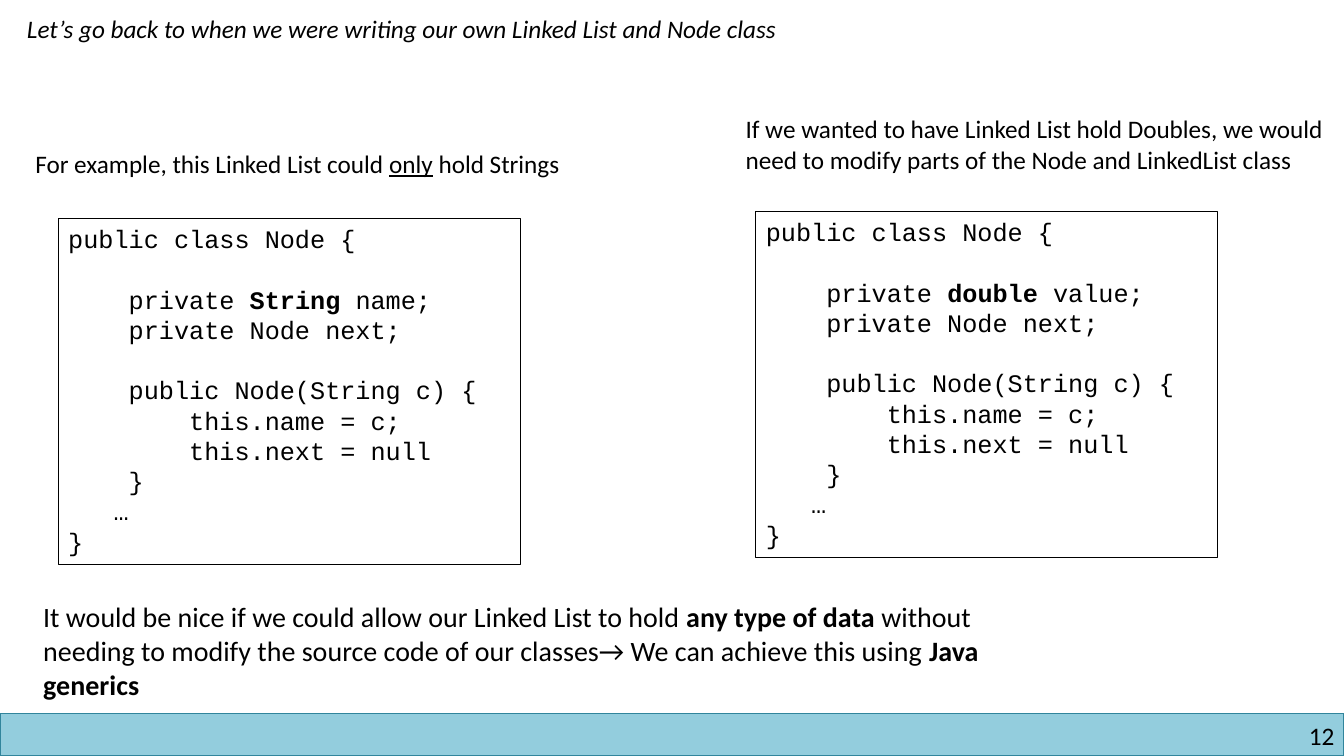
from pptx import Presentation
from pptx.dml.color import RGBColor
from pptx.enum.shapes import MSO_SHAPE
from pptx.enum.text import MSO_ANCHOR, PP_ALIGN
from pptx.util import Cm, Pt

RECTANGLE = MSO_SHAPE.RECTANGLE
TOP = MSO_ANCHOR.TOP
LEFT, RIGHT = PP_ALIGN.LEFT, PP_ALIGN.RIGHT
BLACK, BAND_FILL, BAND_EDGE = "000000", "93CDDD", "31859C"
PROSE_FONT, CODE_FONT = "Calibri", "Courier New"
CODE_LINE = Pt(21.6)


def color(hex_code):
    return RGBColor.from_string(hex_code)


def add_runs(paragraph, parts, size=18, font=PROSE_FONT):
    """Parts are plain strings or (text, style) pairs, style being a font flag."""
    paragraph.font.size = Pt(size)
    paragraph.font.name = font
    paragraph.font.color.rgb = color(BLACK)
    for part in parts:
        text, style = (part, None) if isinstance(part, str) else part
        run = paragraph.add_run()
        run.text = text
        if style:
            setattr(run.font, style, True)


def add_rectangle(slide, left, top, width, height, edge, weight, fill=None):
    rectangle = slide.shapes.add_shape(
        RECTANGLE, Cm(left), Cm(top), Cm(width), Cm(height))
    rectangle.shadow.inherit = False
    if fill:
        rectangle.fill.solid()
        rectangle.fill.fore_color.rgb = color(fill)
    else:
        rectangle.fill.background()
    rectangle.line.color.rgb = color(edge)
    rectangle.line.width = Pt(weight)
    return rectangle


def add_remark(slide, left, top, width, height, parts, size=18):
    frame = slide.shapes.add_textbox(
        Cm(left), Cm(top), Cm(width), Cm(height)).text_frame
    frame.word_wrap = True
    add_runs(frame.paragraphs[0], parts, size)
    return frame


def add_node_class(slide, left, top, data_type, field):
    """Code listing; each line comes with the number of empty lines above it."""
    listing = [
        (0, ["public class Node {"]),
        (1, ["    private ", (data_type, "bold"), f" {field};"]),
        (0, ["    private Node next;"]),
        (1, ["    public Node(String c) {"]),
        (0, ["        this.name = c;"]),
        (0, ["        this.next = null"]),
        (0, ["    }"]),
        (0, ["   …"]),
        (0, ["}"]),
    ]
    frame = add_rectangle(slide, left, top, 11.64, 8.71, BLACK, 0.75).text_frame
    frame.word_wrap = True
    frame.vertical_anchor = TOP
    for index, (gap, parts) in enumerate(listing):
        line = frame.add_paragraph() if index else frame.paragraphs[0]
        line.alignment = LEFT
        line.line_spacing = CODE_LINE
        if gap:
            line.space_before = gap * CODE_LINE
        add_runs(line, parts, font=CODE_FONT)


def main():
    deck = Presentation()
    deck.slide_width, deck.slide_height = Cm(33.87), Cm(19.05)
    slide = deck.slides.add_slide(deck.slide_layouts[6])

    # Footer band and page number
    add_rectangle(slide, 0, 17.98, 33.87, 1.07, BAND_EDGE, 1, BAND_FILL)
    page_number = add_remark(slide, 25.83, 18.16, 7.8, 0.76, ["12"])
    page_number.margin_left = page_number.margin_right = 0
    page_number.margin_top = page_number.margin_bottom = 0
    page_number.paragraphs[0].alignment = RIGHT

    # Opening line
    add_remark(slide, 0.43, 0.2, 21.41, 1.02, [
        ("Let’s go back to when we were writing our own Linked List and Node class",
         "italic")])

    # String version
    add_remark(slide, 0.64, 3.61, 15.52, 1.02, [
        "For example, this Linked List could ", ("only", "underline"),
        " hold Strings"])
    add_node_class(slide, 1.47, 5.51, "String", "name")

    # Double version
    add_remark(slide, 18.54, 2.74, 15.06, 2.57, [
        "If we wanted to have Linked List hold Doubles, we would need to modify "
        "parts of the Node and LinkedList class"])
    add_node_class(slide, 19.05, 5.33, "double", "value")

    # Conclusion
    add_remark(slide, 0.84, 14.99, 25.45, 2.82, [
        "It would be nice if we could allow our Linked List to hold ",
        ("any type of data ", "bold"),
        "without needing to modify the source code of our classes→ "
        "We can achieve this using ",
        ("Java generics", "bold")], size=20)

    deck.save("out.pptx")


if __name__ == "__main__":
    main()
